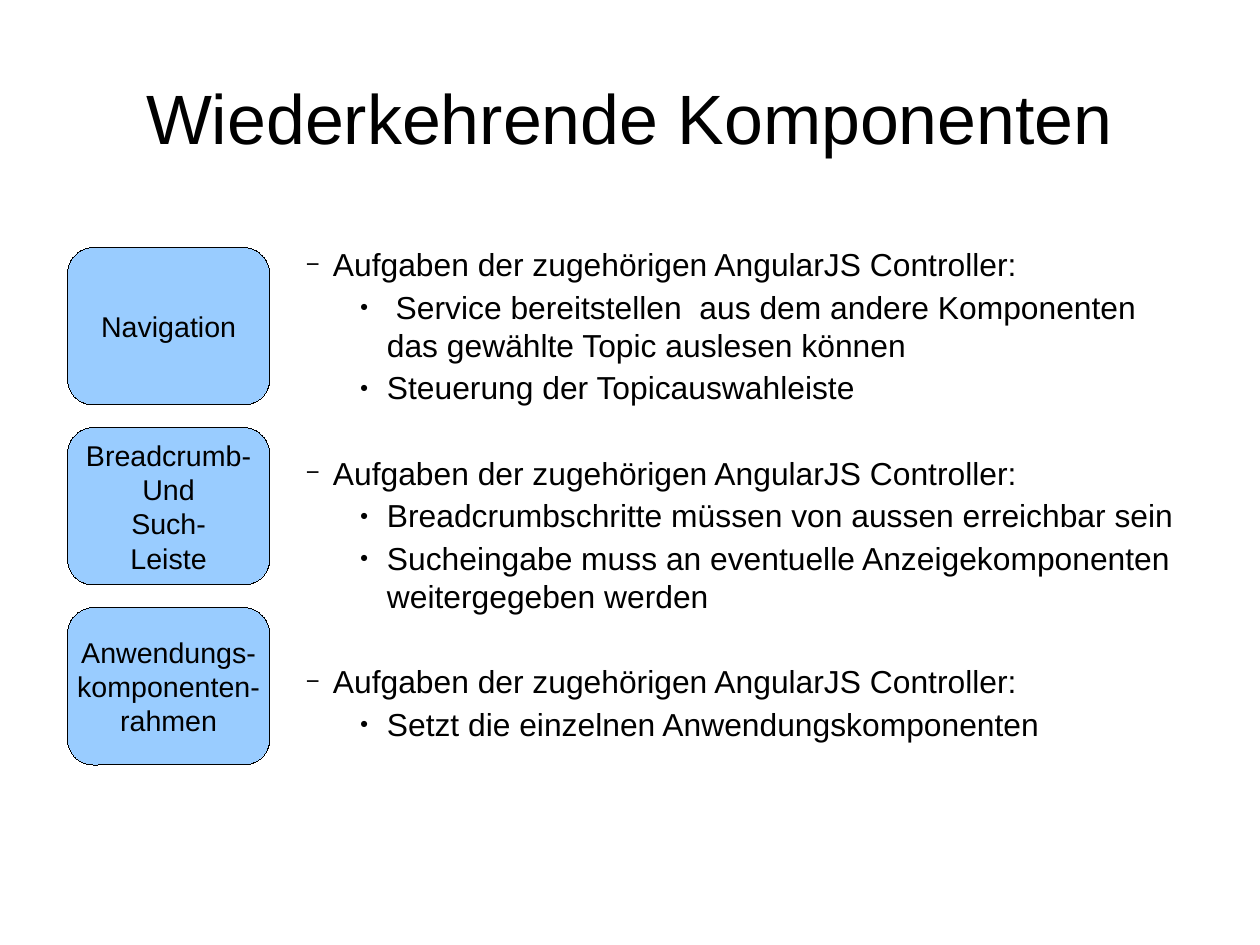
from lxml.etree import SubElement
from pptx import Presentation
from pptx.dml.color import RGBColor
from pptx.enum.shapes import MSO_SHAPE as Preset
from pptx.enum.text import MSO_ANCHOR as Anchor, MSO_AUTO_SIZE as AutoSize, PP_ALIGN as Align
from pptx.oxml.ns import qn
from pptx.util import Pt

BLACK, LIGHT_BLUE = "000000", "99CCFF"
FONT = "Arial"
SPACE_AFTER = 2.8
GROUP_GAP = 26.9
HANGING = 17

TASK_HEADING = "Aufgaben der zugehörigen AngularJS Controller:"
COMPONENTS = [
    (["Navigation"],
     [" Service bereitstellen  aus dem andere Komponenten  das gewählte Topic auslesen können",
      "Steuerung der Topicauswahleiste"]),
    (["Breadcrumb-", "Und", "Such-", "Leiste"],
     ["Breadcrumbschritte müssen von aussen erreichbar sein",
      "Sucheingabe muss an eventuelle Anzeigekomponenten weitergegeben werden"]),
    (["Anwendungs-", "komponenten-", "rahmen"],
     ["Setzt die einzelnen Anwendungskomponenten"]),
]


def color(value):
    """Turn a hex string into a colour."""
    return RGBColor.from_string(value)


def place(shape, box):
    """Move a shape to a box of left, top, width and height in points."""
    shape.left, shape.top, shape.width, shape.height = map(Pt, box)


def clear_margins(frame):
    """Remove the insets and the automatic fitting of a text frame."""
    frame.margin_left = frame.margin_top = frame.margin_right = frame.margin_bottom = Pt(0)
    frame.word_wrap = True
    frame.auto_size = AutoSize.NONE


def add_run(paragraph, text, size):
    """Add black text to a paragraph."""
    run = paragraph.add_run()
    run.text = text
    run.font.name = FONT
    run.font.size = Pt(size)
    run.font.color.rgb = color(BLACK)


def next_paragraph(frame):
    """Return the first paragraph while it is empty, else a new one."""
    first = frame.paragraphs[0]
    return frame.add_paragraph() if first.runs else first


def add_bullet(paragraph, symbol, percent, indent):
    """Give a paragraph a hanging bullet."""
    properties = paragraph._p.get_or_add_pPr()
    properties.set("marL", str(Pt(indent)))
    properties.set("indent", str(-Pt(HANGING)))
    bullet_color = SubElement(properties, qn("a:buClr"))
    SubElement(bullet_color, qn("a:srgbClr"), val=BLACK)
    SubElement(properties, qn("a:buSzPct"), val=str(percent * 1000))
    SubElement(properties, qn("a:buFont"), typeface=FONT)
    SubElement(properties, qn("a:buChar"), char=symbol)


def add_item(frame, text, level, symbol, percent, indent, space_before=0):
    """Add one list item."""
    paragraph = next_paragraph(frame)
    paragraph.level = level
    paragraph.alignment = Align.LEFT
    paragraph.space_before = Pt(space_before)
    paragraph.space_after = Pt(SPACE_AFTER)
    add_bullet(paragraph, symbol, percent, indent)
    add_run(paragraph, text, 20)


def fill_title(shape, box, text):
    """Write the centred slide title."""
    place(shape, box)
    frame = shape.text_frame
    clear_margins(frame)
    frame.vertical_anchor = Anchor.MIDDLE
    paragraph = frame.paragraphs[0]
    paragraph.alignment = Align.CENTER
    add_run(paragraph, text, 44)


def fill_tasks(shape, box):
    """Write the controller tasks of every component."""
    place(shape, box)
    frame = shape.text_frame
    clear_margins(frame)
    frame.margin_top = Pt(GROUP_GAP)
    frame.vertical_anchor = Anchor.TOP
    for index, (_, tasks) in enumerate(COMPONENTS):
        add_item(frame, TASK_HEADING, 4, "−", 75, 170, GROUP_GAP if index else 0)
        for task in tasks:
            add_item(frame, task, 5, "●", 45, 204)


def add_component(slide, box, lines):
    """Draw one rounded component box with its label."""
    shape = slide.shapes.add_shape(Preset.ROUNDED_RECTANGLE, *map(Pt, box))
    shape.shadow.inherit = False
    shape.fill.solid()
    shape.fill.fore_color.rgb = color(LIGHT_BLUE)
    shape.line.color.rgb = color(BLACK)
    shape._element.spPr.find(qn("a:ln")).set("w", "0")
    frame = shape.text_frame
    frame.word_wrap = False
    frame.vertical_anchor = Anchor.MIDDLE
    for line in lines:
        paragraph = next_paragraph(frame)
        paragraph.alignment = Align.CENTER
        add_run(paragraph, line, 18)


def add_component_column(slide, box, gap):
    """Stack the component boxes evenly in a column."""
    left, top, width, height = box
    count = len(COMPONENTS)
    box_height = (height - gap * (count - 1)) / count
    for index, (lines, _) in enumerate(COMPONENTS):
        add_component(slide, (left, top + index * (box_height + gap), width, box_height), lines)


def main():
    """Build and save the presentation."""
    presentation = Presentation()
    presentation.slide_width, presentation.slide_height = Pt(793.7), Pt(595.28)
    slide = presentation.slides.add_slide(presentation.slide_layouts[1])
    fill_title(slide.shapes.title, (39.7, 23.7, 714.3, 99.4), "Wiederkehrende Komponenten")
    fill_tasks(slide.placeholders[1], (39.7, 127.4, 714.3, 357.1))
    add_component_column(slide, (42.5, 155.9, 127.5, 326), 14.2)
    presentation.save("out.pptx")


if __name__ == "__main__":
    main()
